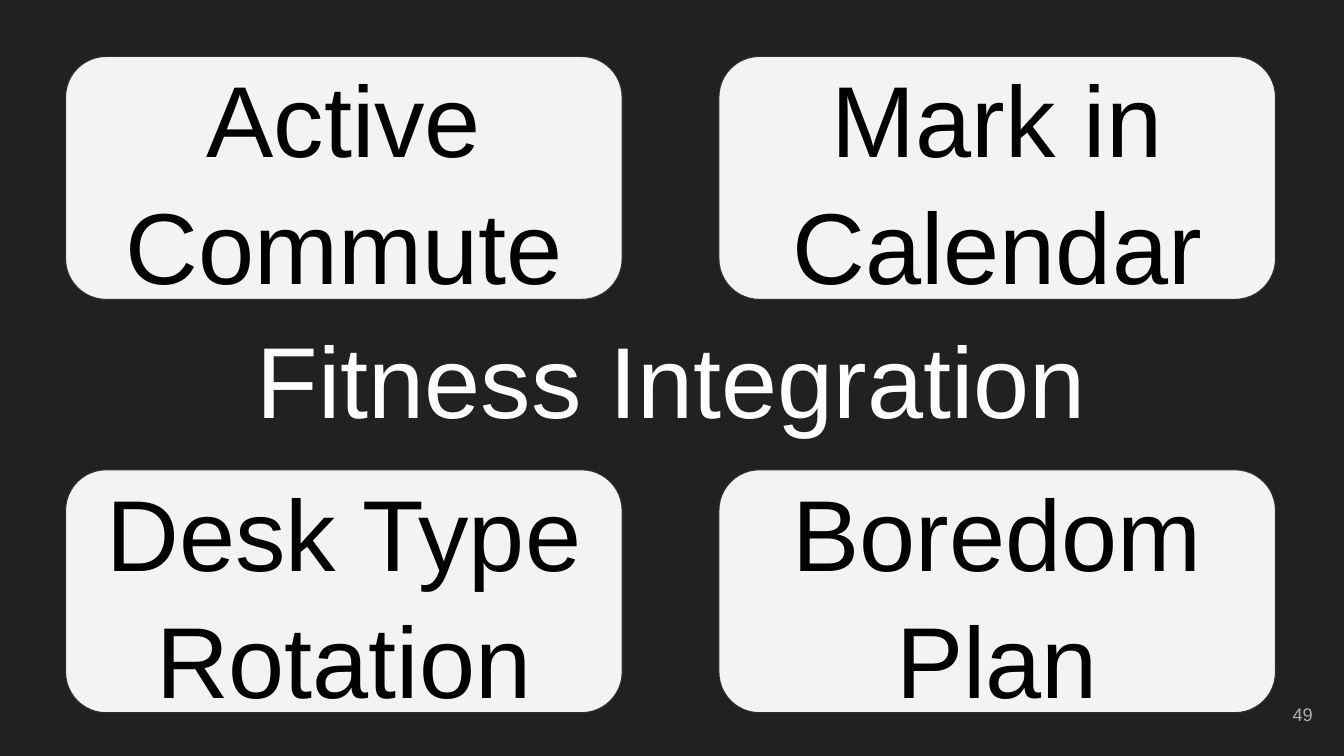
from itertools import product
from pptx import Presentation
from pptx.dml.color import RGBColor as RGB
from pptx.enum.shapes import MSO_SHAPE as Shape
from pptx.enum.text import MSO_ANCHOR as Anchor, MSO_AUTO_SIZE as Fit, PP_ALIGN as Align
from pptx.util import Inches, Pt

HUES = {"back": "212121", "card": "F3F3F3", "edge": "303030",
        "ink": "000000", "head": "FFFFFF", "page": "ADADAD"}


class Deck:
    """Holds the style and the current slide; lengths are percent of the slide."""
    font = "Arial"

    def __init__(self, wide, high):
        self.prs = Presentation()
        self.prs.slide_width, self.prs.slide_height = Inches(wide), Inches(high)
        self.slide = self.prs.slides.add_slide(self.prs.slide_layouts[5])
        self.paint(self.slide.background.fill, "back")

    def paint(self, fill, hue):
        fill.solid()
        fill.fore_color.rgb = RGB.from_string(HUES[hue])

    def area(self, left, top, wide, high):
        across, down = self.prs.slide_width / 100, self.prs.slide_height / 100
        return [int(n) for n in (left * across, top * down, wide * across, high * down)]

    def label(self, shape, text, hue, size, inset, align=Align.CENTER, space=1.0):
        frame = shape.text_frame
        frame.text = text
        look = {"word_wrap": True, "auto_size": Fit.NONE, "vertical_anchor": Anchor.MIDDLE}
        look |= {f"margin_{side}": Inches(inset) for side in ("left", "top", "right", "bottom")}
        for key, value in look.items():
            setattr(frame, key, value)
        para = frame.paragraphs[0]
        para.alignment, para.line_spacing = align, space
        font = para.runs[0].font
        for key, value in {"name": self.font, "size": Pt(size), "bold": False}.items():
            setattr(font, key, value)
        font.color.rgb = RGB.from_string(HUES[hue])

    def title(self, text, *place):
        head = self.slide.shapes.title
        head.left, head.top, head.width, head.height = self.area(*place)
        self.label(head, text, "head", 72, 0.13)

    def page(self, text, *place):
        box = self.slide.shapes.add_textbox(*self.area(*place))
        self.label(box, text, "page", 13, 0.13, Align.RIGHT)

    def card(self, text, *place):
        card = self.slide.shapes.add_shape(Shape.ROUNDED_RECTANGLE, *self.area(*place))
        card.shadow.inherit = False
        card.adjustments[0] = 0.167
        self.paint(card.fill, "card")
        self.paint(card.line.fill, "edge")
        card.line.width = Pt(0.75)
        self.label(card, text, "ink", 72, 0.1, space=1.05)


def main():
    deck = Deck(13.33, 7.5)

    # Heading and page number
    deck.title("Fitness Integration", 3.38, 41.87, 93.17, 16.4)
    deck.page("49", 92.65, 90.67, 6, 7.6)

    # Four cards, two by two
    names = ["Active Commute", "Mark in Calendar", "Desk Type Rotation", "Boredom Plan"]
    for name, (row, col) in zip(names, product(range(2), repeat=2)):
        deck.card(name, 4.88 + 48.61 * col, 7.47 + 54.67 * row, 41.41, 32.13)

    deck.prs.save("out.pptx")


if __name__ == "__main__":
    main()
